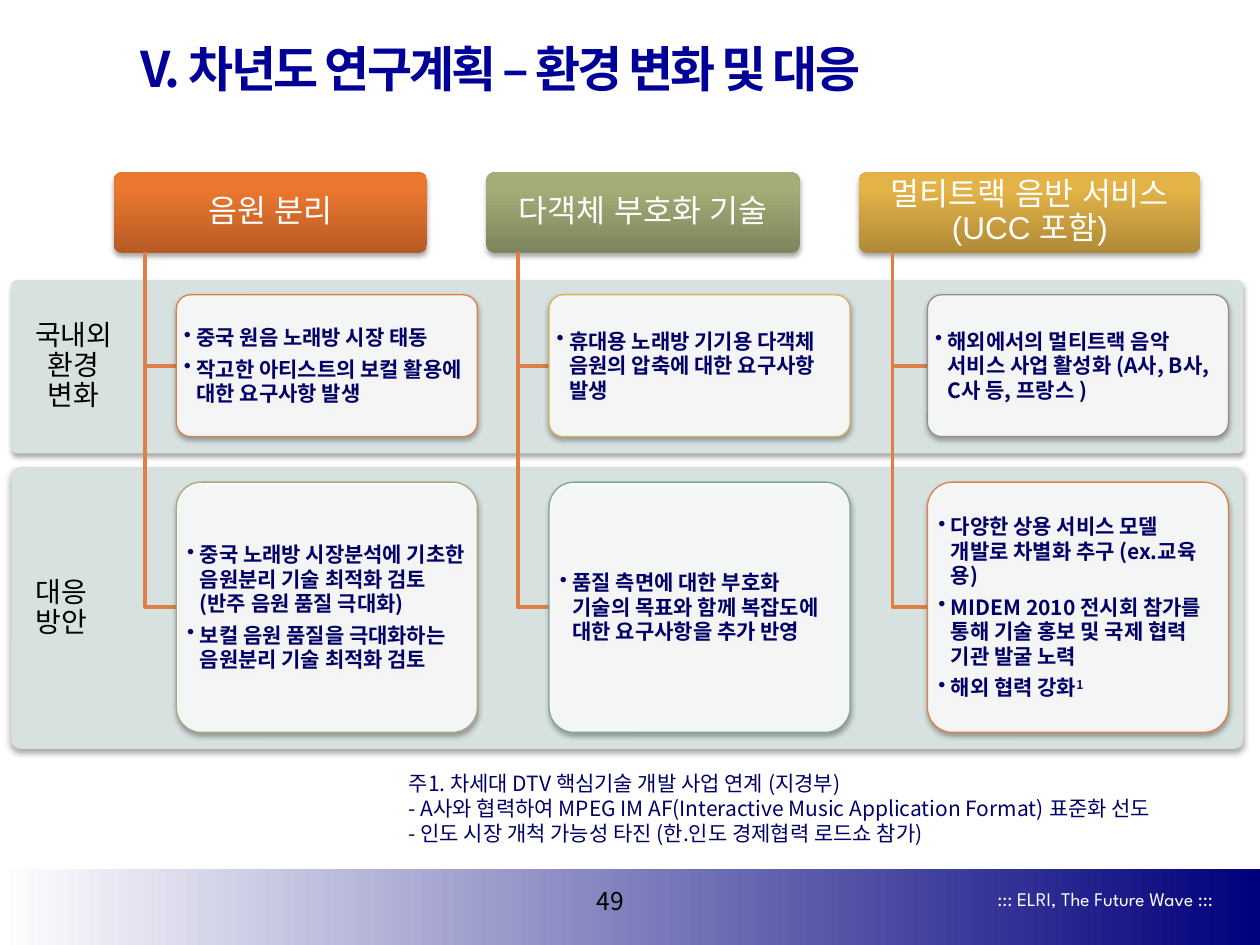
from dataclasses import dataclass

from lxml.etree import SubElement
from pptx import Presentation
from pptx.dml.color import RGBColor
from pptx.enum.shapes import MSO_SHAPE
from pptx.enum.text import MSO_ANCHOR, PP_ALIGN
from pptx.oxml.ns import qn
from pptx.util import Pt


@dataclass(frozen=True)
class Theme:
    """Colours, fonts and type sizes of the deck."""
    sans: str = "Noto Sans CJK KR"
    label_font: str = "Arial"
    slogan_font: str = "League Spartan"
    white: str = "FFFFFF"
    black: str = "000000"
    title: str = "000099"
    body: str = "000066"
    note_mark: str = "1F006C"
    footer: str = "00007C"
    band: str = "D7E1DF"
    branch: str = "DD8047"
    title_size: float = 28
    header_size: float = 18
    label_size: float = 16
    number_size: float = 14
    body_size: float = 12
    slogan_size: float = 11


@dataclass(frozen=True)
class Box:
    """A rectangle in points."""
    left: float
    top: float
    width: float
    height: float

    def lengths(self):
        """Return the four lengths for python-pptx."""
        return Pt(self.left), Pt(self.top), Pt(self.width), Pt(self.height)


THEME = Theme()
ROWS = [
    ("국내외\n환경\n변화", Box(6.5, 160, 704, 99), 71),
    ("대응\n방안", Box(6.5, 267, 704, 161), 57),
]
COLUMNS = [
    ("음원 분리", Box(65, 98.5, 179, 46), ("B65B24", "EC772F"), [
        ("DD8047", ["중국 원음 노래방 시장 태동",
                    "작고한 아티스트의 보컬 활용에 대한 요구사항 발생"]),
        ("A5AB81", ["중국 노래방 시장분석에 기초한 음원분리 기술 최적화 검토\n(반주 음원 품질 극대화)",
                    "보컬 음원 품질을 극대화하는 음원분리 기술 최적화 검토"]),
    ]),
    ("다객체 부호화 기술", Box(278, 98.5, 179, 46), ("7E845C", "A4AC77"), [
        ("D8B25C", ["휴대용 노래방 기기용 다객체 음원의 압축에 대한 요구사항 발생"]),
        ("7BA79D", ["품질 측면에 대한 부호화 기술의 목표와 함께 복잡도에 대한 요구사항을 추가 반영"]),
    ]),
    ("멀티트랙 음반 서비스\n(UCC 포함)", Box(491, 98.5, 195, 46), ("AF8A37", "E3B347"), [
        ("968C8C", ["해외에서의 멀티트랙 음악 서비스 사업 활성화 (A사, B사, C사 등, 프랑스 )"]),
        ("DD8047", ["다양한 상용 서비스 모델 개발로 차별화 추구 (ex.교육용)",
                    "MIDEM 2010 전시회 참가를 통해 기술 홍보 및 국제 협력 기관 발굴 노력",
                    "해외 협력 강화"]),
    ]),
]
NOTES = [
    "주1. 차세대 DTV 핵심기술 개발 사업 연계 (지경부)",
    "- A사와 협력하여 MPEG IM AF(Interactive Music Application Format) 표준화 선도",
    "- 인도 시장 개척 가능성 타진 (한.인도 경제협력 로드쇼 참가)",
]


def style_span(span, font, size, color, bold=False):
    """Format one run, for Latin and Korean letters alike."""
    span.font.size = Pt(size)
    span.font.bold = bold
    span.font.color.rgb = RGBColor.from_string(color)
    span.font.name = font
    SubElement(span.font._element, qn("a:ea")).set("typeface", font)


def write(frame, lines, font, size, color, bold=False, align=PP_ALIGN.LEFT,
          anchor=MSO_ANCHOR.MIDDLE, margins=(7.2, 3.6), wrap=True,
          spacing=None, after=0, hanging=0, bullet=False):
    """Fill a text frame with one paragraph per line."""
    frame.word_wrap = wrap
    frame.vertical_anchor = anchor
    frame.margin_left = frame.margin_right = Pt(margins[0])
    frame.margin_top = frame.margin_bottom = Pt(margins[1])
    for index, line in enumerate(lines):
        para = frame.add_paragraph() if index else frame.paragraphs[0]
        para.text = line
        para.alignment = align
        para.line_spacing = spacing
        para.space_after = Pt(after)
        props = para._p.get_or_add_pPr()
        if hanging:
            props.set("marL", str(Pt(hanging)))
            props.set("indent", str(-Pt(hanging)))
        if bullet:
            SubElement(props, qn("a:buChar")).set("char", "•")
        for span in para.runs:
            style_span(span, font, size, color, bold)


def add_text(page, box, lines, *style, **layout):
    """Add a text box."""
    frame = page.shapes.add_textbox(*box.lengths()).text_frame
    write(frame, lines, *style, **layout)
    return frame


def add_panel(page, box, kind=MSO_SHAPE.ROUNDED_RECTANGLE, fill=None, gradient=None,
              angle=0, end=1.0, line=None, radius=None, alpha=None, shadow=True):
    """Add a filled shape, with a soft shadow if wanted."""
    panel = page.shapes.add_shape(kind, *box.lengths())
    panel.shadow.inherit = False
    if radius is not None:
        panel.adjustments[0] = radius
    if gradient:
        panel.fill.gradient()
        panel.fill.gradient_angle = angle
        for stop, color, position in zip(panel.fill.gradient_stops, gradient, (0, end)):
            stop.color.rgb = RGBColor.from_string(color)
            stop.position = position
    else:
        panel.fill.solid()
        panel.fill.fore_color.rgb = RGBColor.from_string(fill)
    if alpha:
        color = panel._element.spPr.find(qn("a:solidFill"))[0]
        SubElement(color, qn("a:alpha")).set("val", str(alpha * 1000))
    if line:
        panel.line.color.rgb = RGBColor.from_string(line)
        panel.line.width = Pt(0.75)
    else:
        panel.line.fill.background()
    if shadow:
        effects = panel._element.spPr.find(qn("a:effectLst"))
        outer = SubElement(effects, qn("a:outerShdw"), blurRad=str(Pt(3.1)),
                           dist=str(Pt(1.8)), dir="5400000", rotWithShape="0")
        color = SubElement(outer, qn("a:srgbClr"), val=THEME.black)
        SubElement(color, qn("a:alpha")).set("val", "35000")
    return panel


def add_branch(page, x, top, end_x, end_y):
    """Draw an elbow from a header down to a card."""
    builder = page.shapes.build_freeform(x, top, scale=Pt(1))
    builder.add_line_segments([(x, end_y), (end_x, end_y)], close=False)
    branch = builder.convert_to_shape()
    branch.shadow.inherit = False
    branch.fill.background()
    branch.line.color.rgb = RGBColor.from_string(THEME.branch)
    branch.line.width = Pt(2)


def add_row(page, box, label, label_width):
    """Draw a horizontal band with its label on the left."""
    add_panel(page, box, fill=THEME.band, radius=0.032)
    add_text(page, Box(box.left, box.top, label_width, box.height), [label],
             THEME.label_font, THEME.label_size, THEME.black,
             align=PP_ALIGN.CENTER, margins=(11.4, 11.4), spacing=0.9)


def add_column(page, box, heading, gradient, cards):
    """Draw a header with one card hanging from it in each row."""
    header = add_panel(page, box, gradient=gradient, angle=90, end=0.8, radius=0.1)
    write(header.text_frame, [heading], THEME.label_font, THEME.header_size, THEME.white,
          align=PP_ALIGN.CENTER, margins=(2.7, 1.8), spacing=0.9)
    stem = box.left + box.width * 0.1
    card_left = box.left + box.width * 0.2
    frames = []
    for (color, lines), (_, band, _) in zip(cards, ROWS):
        inset = 8.5
        card = Box(card_left, band.top + inset, 172, band.height - 2 * inset - 1)
        add_branch(page, stem, box.top + box.height, card_left, card.top + card.height / 2)
        panel = add_panel(page, card, fill=THEME.white, line=color, radius=0.1, alpha=90)
        write(panel.text_frame, lines, THEME.sans, THEME.body_size, THEME.body, bold=True,
              margins=(2, 1.3), spacing=Pt(14), after=4, hanging=7.2, bullet=True)
        frames.append(panel.text_frame)
    return frames


def add_note_mark(frame):
    """Append the superscript note number to the last paragraph."""
    span = frame.paragraphs[-1].add_run()
    span.text = "1"
    style_span(span, THEME.sans, THEME.body_size, THEME.note_mark, bold=True)
    span.font._element.set("baseline", "30000")


def add_footer(page, box):
    """Draw the bottom bar with page number and slogan."""
    add_panel(page, box, MSO_SHAPE.RECTANGLE, gradient=(THEME.white, THEME.footer), shadow=False)
    add_text(page, Box(box.left + 548, box.top + 7, 152.5, 20), ["::: ELRI, The Future Wave :::"],
             THEME.slogan_font, THEME.slogan_size, THEME.white, align=PP_ALIGN.RIGHT, wrap=False)
    add_text(page, Box(box.left + 326, box.top + 6, 45.5, 24), ["49"],
             THEME.sans, THEME.number_size, THEME.black, align=PP_ALIGN.CENTER)


def add_title(page, box):
    """Write the slide title with tightened letters."""
    frame = add_text(page, box, ["V. 차년도 연구계획 – 환경 변화 및 대응"],
                     THEME.sans, THEME.title_size, THEME.title, bold=True)
    for span in frame.paragraphs[0].runs:
        span.font._element.set("spc", "-150")


def main():
    """Build the deck."""
    deck = Presentation()
    deck.slide_width, deck.slide_height = Pt(720), Pt(540)
    page = deck.slides.add_slide(deck.slide_layouts[6])
    add_footer(page, Box(0, 496.8, 720, 43.2))
    for label, box, label_width in ROWS:
        add_row(page, box, label, label_width)
    add_title(page, Box(73.5, 16.5, 562, 45))
    for heading, box, gradient, cards in COLUMNS:
        frames = add_column(page, box, heading, gradient, cards)
    add_note_mark(frames[-1])
    add_text(page, Box(226.5, 436.5, 484, 51), NOTES, THEME.sans, THEME.body_size, THEME.body,
             anchor=MSO_ANCHOR.TOP, hanging=21.5)
    deck.save("out.pptx")


if __name__ == "__main__":
    main()
